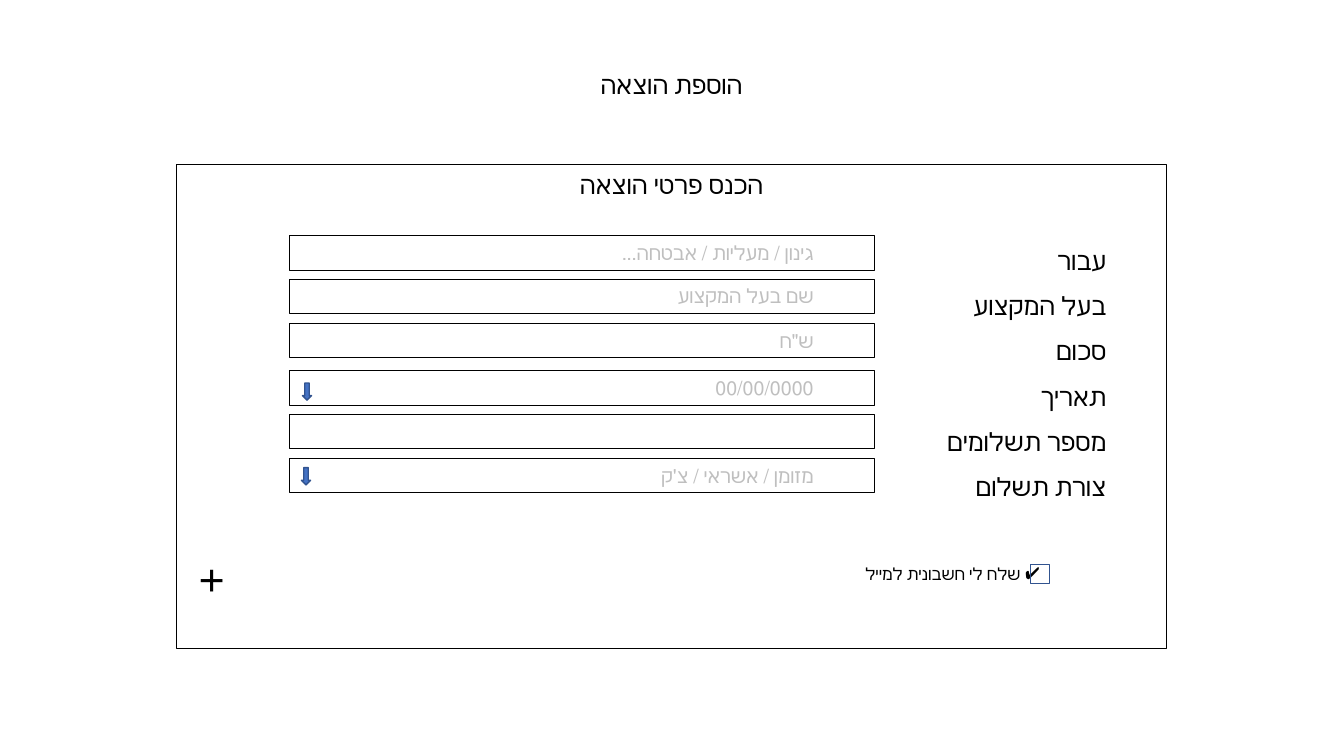
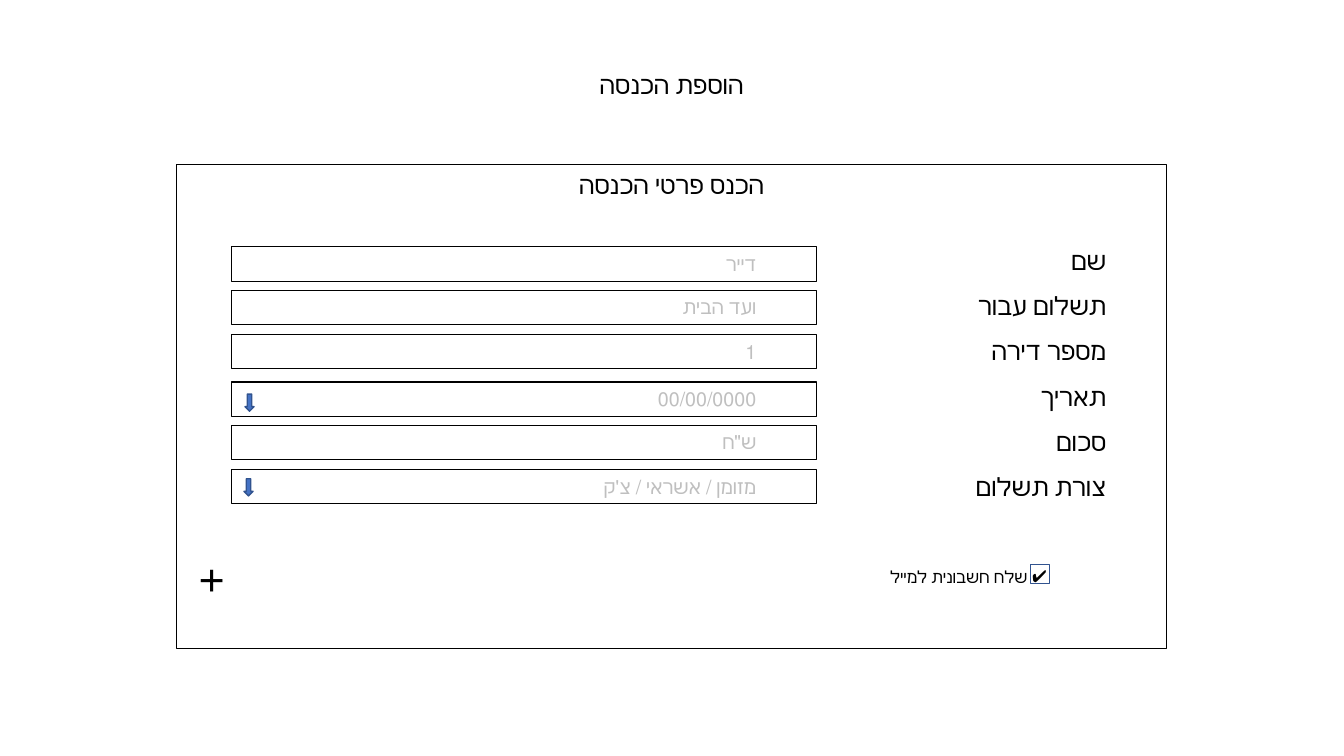
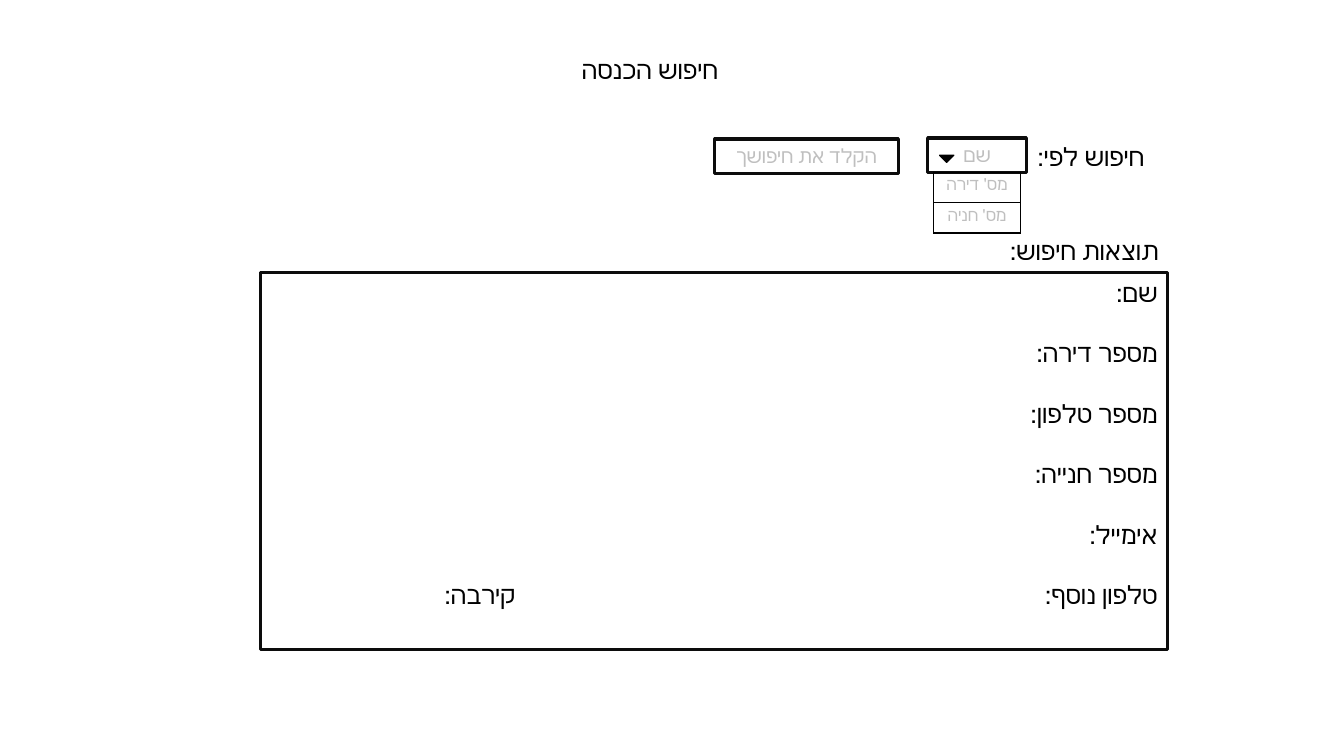
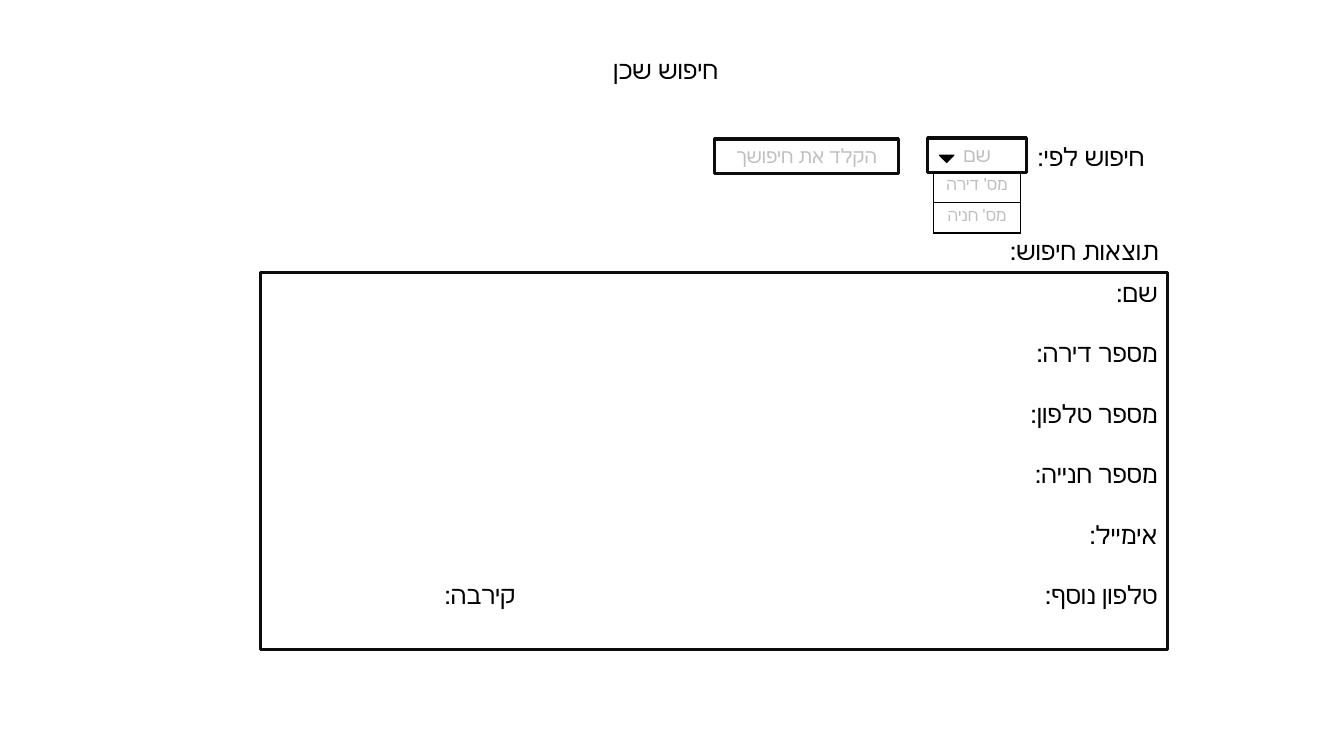
"""Build four wireframe slides of a house committee application."""
from lxml import etree
from pptx import Presentation
from pptx.dml.color import RGBColor
from pptx.enum.lang import MSO_LANGUAGE_ID
from pptx.enum.shapes import MSO_SHAPE
from pptx.enum.text import MSO_ANCHOR, PP_ALIGN
from pptx.oxml.ns import qn
from pptx.util import Inches, Pt

RECTANGLE = MSO_SHAPE.RECTANGLE
DOWN_ARROW = MSO_SHAPE.DOWN_ARROW
TRIANGLE = MSO_SHAPE.ISOSCELES_TRIANGLE
TOP = MSO_ANCHOR.TOP
CENTER = PP_ALIGN.CENTER
RIGHT = PP_ALIGN.RIGHT
HEBREW = MSO_LANGUAGE_ID.HEBREW

BLACK = "000000"
DARK = "0C0C0C"
HINT = "BFBFBF"
BLUE = "4472C4"
NAVY = "31538F"

LINE_HEIGHT = 0.3
LINE_GAP = 21.6
FIELD_OFFSETS = (0, 0.43, 0.87, 1.34, 1.77, 2.21)
ARROW_OFFSETS = {3: (0.13, 0.12), 5: (0.12, 0.09)}
RESULT_LABELS = ("שם:", "מספר דירה:", "מספר טלפון:", "מספר חנייה:", "אימייל:", "טלפון נוסף:")


def color(value):
    return RGBColor.from_string(value)


class Deck:
    font = "Calibri"

    def __init__(self):
        self.presentation = Presentation()
        self.presentation.slide_width = Inches(13.33)
        self.presentation.slide_height = Inches(7.5)
        self.slide = None

    def new_slide(self):
        self.slide = self.presentation.slides.add_slide(self.presentation.slide_layouts[6])

    def paragraph(self, frame, text, size=18, ink=BLACK, align=RIGHT, font=None,
                  margin=0, hanging=0, spacing=None, after=0, new=False):
        paragraph = frame.add_paragraph() if new else frame.paragraphs[0]
        paragraph.alignment = align
        properties = paragraph._p.get_or_add_pPr()
        properties.set("rtl", "1")
        properties.set("marL", str(Inches(margin)))
        properties.set("indent", str(-Inches(hanging)))
        paragraph.space_after = Pt(after)
        if spacing:
            paragraph.line_spacing = spacing
        run = paragraph.add_run()
        run.text = text
        run.font.size = Pt(size)
        run.font.name = font or self.font
        run.font.color.rgb = color(ink)
        run.font.language_id = HEBREW
        return paragraph

    def text(self, left, top, width, height, text, **style):
        box = self.slide.shapes.add_textbox(Inches(left), Inches(top), Inches(width), Inches(height))
        box.text_frame.word_wrap = True
        return self.paragraph(box.text_frame, text, **style)

    def shape(self, kind, left, top, width, height, line=BLACK, weight=0.75, fill=None):
        shape = self.slide.shapes.add_shape(
            kind, Inches(left), Inches(top), Inches(width), Inches(height))
        shape.shadow.inherit = False
        if fill:
            shape.fill.solid()
            shape.fill.fore_color.rgb = color(fill)
        else:
            shape.fill.background()
        shape.line.color.rgb = color(line)
        shape.line.width = Pt(weight)
        shape.text_frame.vertical_anchor = TOP
        shape.text_frame.word_wrap = True
        return shape

    def bullet(self, paragraph, character):
        properties = paragraph._p.get_or_add_pPr()
        bullet_color = etree.SubElement(properties, qn("a:buClr"))
        etree.SubElement(bullet_color, qn("a:srgbClr"), val=BLACK)
        etree.SubElement(properties, qn("a:buFont"), typeface="Arial")
        etree.SubElement(properties, qn("a:buChar"), char=character)

    def options(self, left, top, width, row_height, entries):
        table = self.slide.shapes.add_table(
            len(entries), 1, Inches(left), Inches(top),
            Inches(width), Inches(row_height * len(entries))).table
        table.first_row = table.horz_banding = False
        for row, entry in enumerate(entries):
            cell = table.cell(row, 0)
            properties = cell._tc.get_or_add_tcPr()
            for side in ("a:lnL", "a:lnR", "a:lnT", "a:lnB"):
                border = etree.SubElement(properties, qn(side), w=str(Pt(1)))
                fill = etree.SubElement(border, qn("a:solidFill"))
                etree.SubElement(fill, qn("a:srgbClr"), val=BLACK)
            cell.fill.background()
            self.paragraph(cell.text_frame, entry, size=12, ink=HINT, align=CENTER, font="Arial")

    def form(self, title, heading, fields, field_left, field_top, consent, consent_left, consent_top):
        self.new_slide()
        self.text(4.06, 0.64, 5.2, 0.4, title, align=CENTER)
        self.text(1.75, 5.37, 0.7, 0.64, "+", size=32, align=CENTER)
        panel = self.shape(RECTANGLE, 1.75, 1.63, 9.82, 4.8)
        self.paragraph(panel.text_frame, heading, align=CENTER, after=LINE_GAP)
        for index, (label, hint) in enumerate(fields):
            self.paragraph(panel.text_frame, label, margin=0.5, spacing=1.5, new=True)
            top = field_top + FIELD_OFFSETS[index]
            field = self.shape(RECTANGLE, field_left, top, 5.8, 0.34)
            if hint:
                self.paragraph(field.text_frame, hint, size=14, ink=HINT, margin=0.5)
            if index in ARROW_OFFSETS:
                across, down = ARROW_OFFSETS[index]
                self.shape(DOWN_ARROW, field_left + across, top + down, 0.09, 0.17,
                           line=NAVY, weight=1, fill=BLUE)
        consent_line = self.text(consent_left, consent_top, 4.32, 0.3, consent,
                                 size=12, margin=0.19, hanging=0.19)
        self.bullet(consent_line, "✔")
        self.shape(RECTANGLE, 10.22, 5.6, 0.19, 0.19, line=NAVY, weight=1)

    def search(self, title):
        self.new_slide()
        self.text(5.02, 0.49, 2.2, 0.4, title)
        results_top = 2.7
        results = self.shape(RECTANGLE, 2.58, results_top, 9, 3.74, line=DARK, weight=2.25)
        for index, label in enumerate(RESULT_LABELS):
            self.paragraph(results.text_frame, label, after=LINE_GAP, new=index > 0)
        last_line = 2 * (len(RESULT_LABELS) - 1)
        self.text(3.21, results_top + last_line * LINE_HEIGHT, 2, 0.4, "קירבה:")
        query = self.shape(RECTANGLE, 7.09, 1.38, 1.82, 0.34, line=DARK, weight=2.25)
        self.paragraph(query.text_frame, "הקלד את חיפושך", size=14, ink=HINT, align=CENTER)
        self.text(9.74, 2.29, 1.85, 0.4, "תוצאות חיפוש:")
        self.text(10.18, 1.35, 1.27, 0.4, "חיפוש לפי:")
        selector = self.shape(RECTANGLE, 9.2, 1.37, 0.98, 0.34, line=DARK, weight=2.25)
        self.paragraph(selector.text_frame, "שם", size=14, ink=HINT, align=CENTER)
        marker = self.shape(TRIANGLE, 9.32, 1.54, 0.14, 0.07, weight=1, fill=BLACK)
        marker.rotation = 180
        self.options(9.26, 1.71, 0.86, 0.29, ("מס' דירה", "מס' חניה"))


def main():
    deck = Deck()
    date = ("תאריך", "00/00/0000")
    payment = ("צורת תשלום", "מזומן / אשראי / צ'ק")
    deck.form(
        "הוספת הוצאה", "הכנס פרטי הוצאה",
        (("עבור", "גינון / מעליות / אבטחה..."), ("בעל המקצוע", "שם בעל המקצוע"),
         ("סכום", "ש\"ח"), date, ("מספר תשלומים", None), payment),
        2.87, 2.34, "שלח לי חשבונית למייל", 6.09, 5.54)
    deck.form(
        "הוספת הכנסה", "הכנס פרטי הכנסה",
        (("שם", "דייר"), ("תשלום עבור", "ועד הבית"),
         ("מספר דירה", "1"), date, ("סכום", "ש\"ח"), payment),
        2.3, 2.45, "שלח חשבונית למייל", 6.16, 5.57)
    for title in ("חיפוש הכנסה", "חיפוש שכן"):
        deck.search(title)
    deck.presentation.save("out.pptx")


if __name__ == "__main__":
    main()
